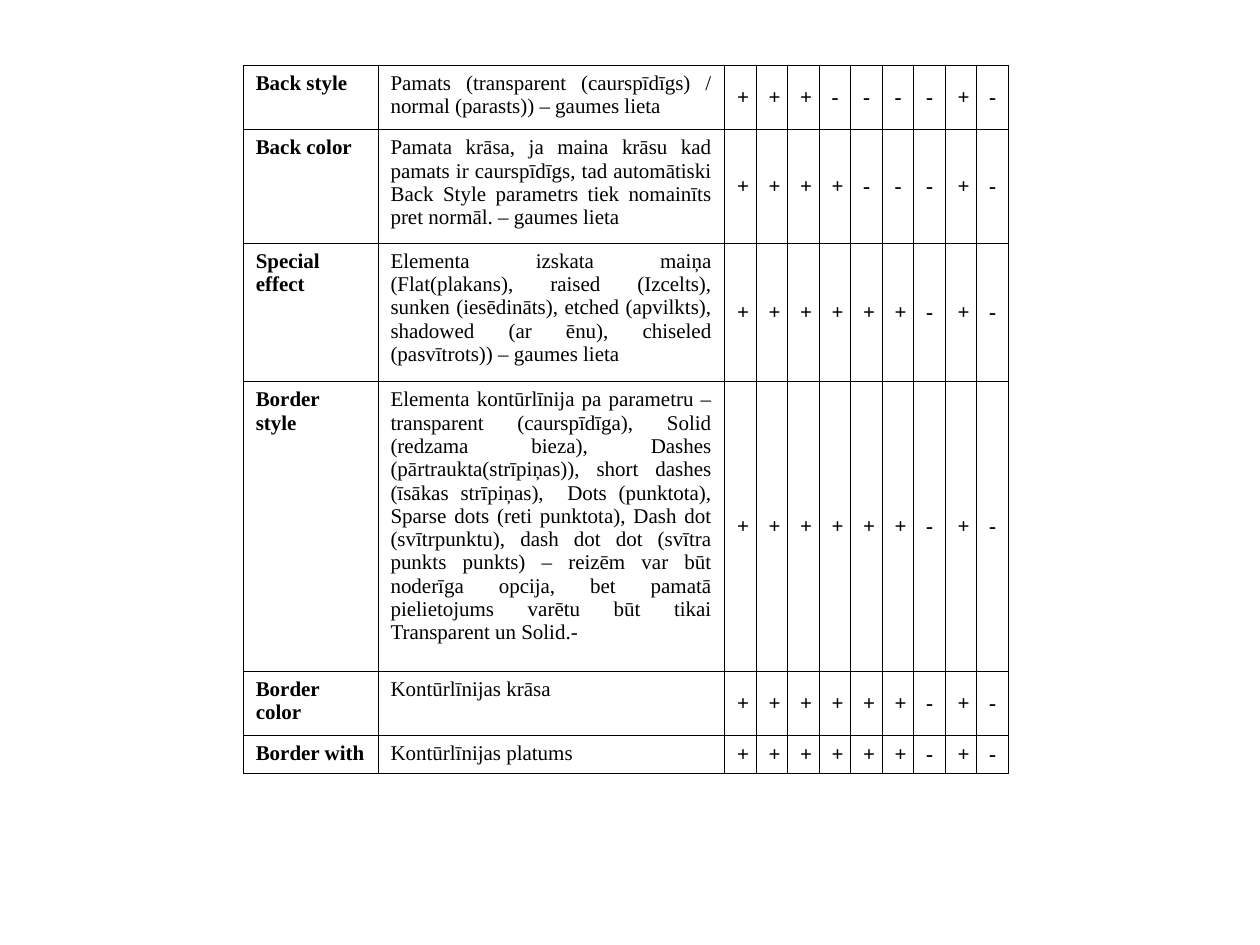
from lxml.etree import SubElement
from pptx import Presentation
from pptx.dml.color import RGBColor
from pptx.enum.text import MSO_ANCHOR as Anchor, PP_ALIGN as Align
from pptx.oxml.ns import qn
from pptx.util import Inches, Pt

BLACK = RGBColor(0, 0, 0)
FONT = "Times New Roman"
BORDER_WIDTH = Pt(0.45)
COLUMN_WIDTHS = [1.07, 2.75] + [0.25] * 9

# Property, description, support marks, row height in inches
PROPERTIES = [
    ("Back style",
     "Pamats (transparent (caurspīdīgs) / normal (parasts)) – gaumes lieta",
     "+++----+-", 0.51),
    ("Back color",
     "Pamata krāsa, ja maina krāsu kad pamats ir caurspīdīgs, tad automātiski "
     "Back Style parametrs tiek nomainīts pret normāl. – gaumes lieta",
     "++++---+-", 0.9),
    ("Special effect",
     "Elementa izskata maiņa (Flat(plakans), raised (Izcelts), sunken "
     "(iesēdināts), etched (apvilkts), shadowed (ar ēnu), chiseled "
     "(pasvītrots)) – gaumes lieta",
     "++++++-+-", 1.1),
    ("Border style",
     "Elementa kontūrlīnija pa parametru – transparent (caurspīdīga), Solid "
     "(redzama bieza), Dashes (pārtraukta(strīpiņas)), short dashes (īsākas "
     "strīpiņas),  Dots (punktota), Sparse dots (reti punktota), Dash dot "
     "(svītrpunktu), dash dot dot (svītra punkts punkts) – reizēm var būt "
     "noderīga opcija, bet pamatā pielietojums varētu būt tikai Transparent "
     "un Solid.-",
     "++++++-+-", 2.3),
    ("Border color", "Kontūrlīnijas krāsa", "++++++-+-", 0.51),
    ("Border with", "Kontūrlīnijas platums", "++++++-+-", 0.3),
]


def add_borders(cell):
    properties = cell._tc.get_or_add_tcPr()
    for side in ("a:lnL", "a:lnR", "a:lnT", "a:lnB"):
        line = SubElement(properties, qn(side), w=str(int(BORDER_WIDTH)))
        fill = SubElement(line, qn("a:solidFill"))
        SubElement(fill, qn("a:srgbClr"), val=str(BLACK))


def write_cell(cell, text, bold=False, align=Align.JUSTIFY, anchor=Anchor.TOP):
    add_borders(cell)
    cell.fill.background()
    cell.margin_left = cell.margin_right = Inches(0.1)
    cell.margin_top = cell.margin_bottom = Inches(0.05)
    cell.vertical_anchor = anchor
    paragraph = cell.text_frame.paragraphs[0]
    paragraph.alignment = align
    run = paragraph.add_run()
    run.text = text
    run.font.name = FONT
    run.font.size = Pt(12)
    run.font.bold = bold
    run.font.color.rgb = BLACK


def add_property_table(slide):
    total_height = sum(height for *_, height in PROPERTIES)
    table = slide.shapes.add_table(
        len(PROPERTIES), len(COLUMN_WIDTHS), Inches(1.93), Inches(0.52),
        Inches(sum(COLUMN_WIDTHS)), Inches(total_height)).table
    table.first_row = table.horz_banding = False
    for column, width in zip(table.columns, COLUMN_WIDTHS):
        column.width = Inches(width)
    for row, (name, description, marks, height) in zip(table.rows, PROPERTIES):
        row.height = Inches(height)
        name_cell, description_cell, *mark_cells = row.cells
        write_cell(name_cell, name, bold=True)
        write_cell(description_cell, description)
        for cell, mark in zip(mark_cells, marks):
            write_cell(cell, mark, bold=True, align=Align.CENTER,
                       anchor=Anchor.MIDDLE)


def main():
    presentation = Presentation()
    presentation.slide_width = Inches(10)
    presentation.slide_height = Inches(7.5)
    blank_layout = presentation.slide_layouts[6]
    slide = presentation.slides.add_slide(blank_layout)
    add_property_table(slide)
    presentation.save("out.pptx")


if __name__ == "__main__":
    main()
